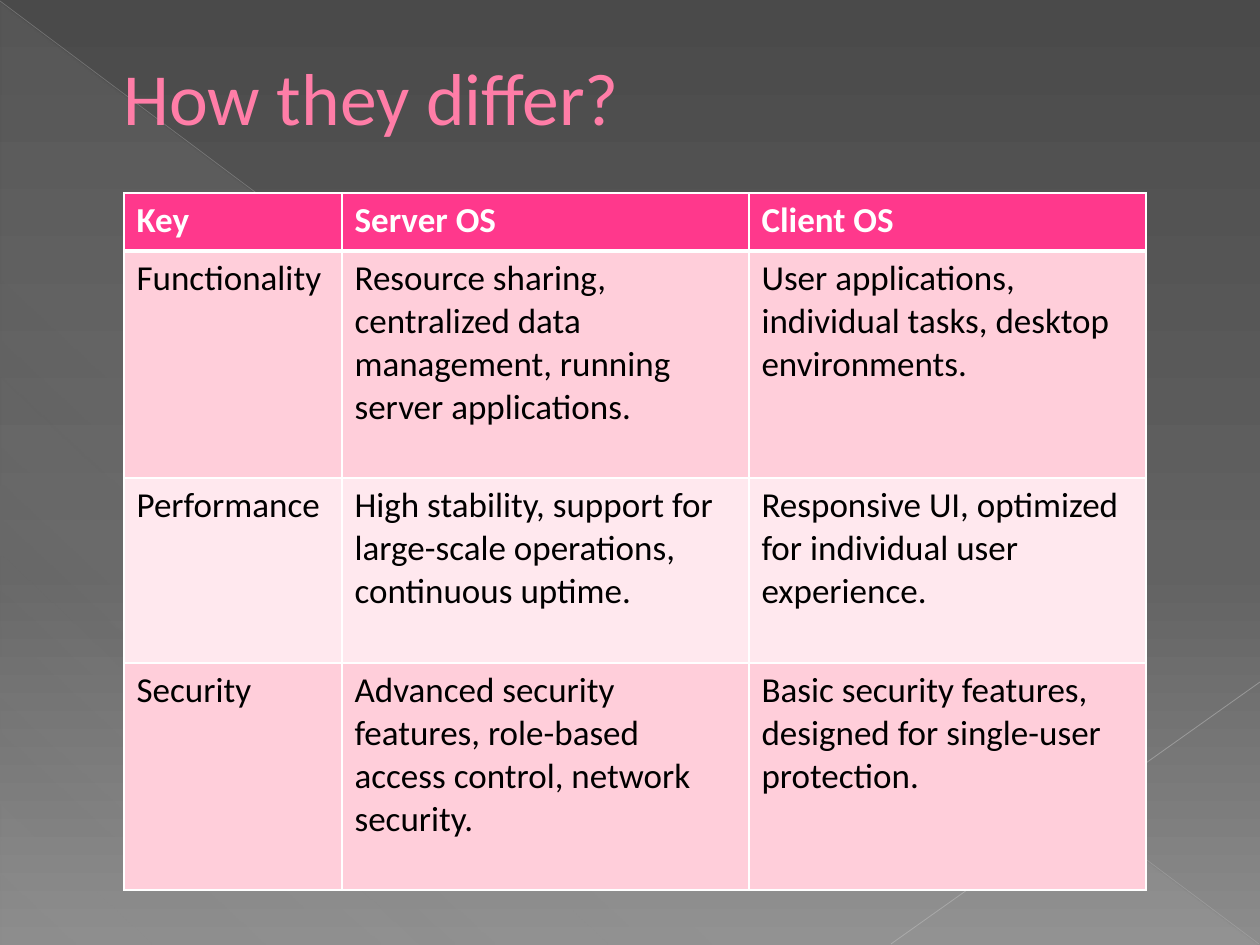
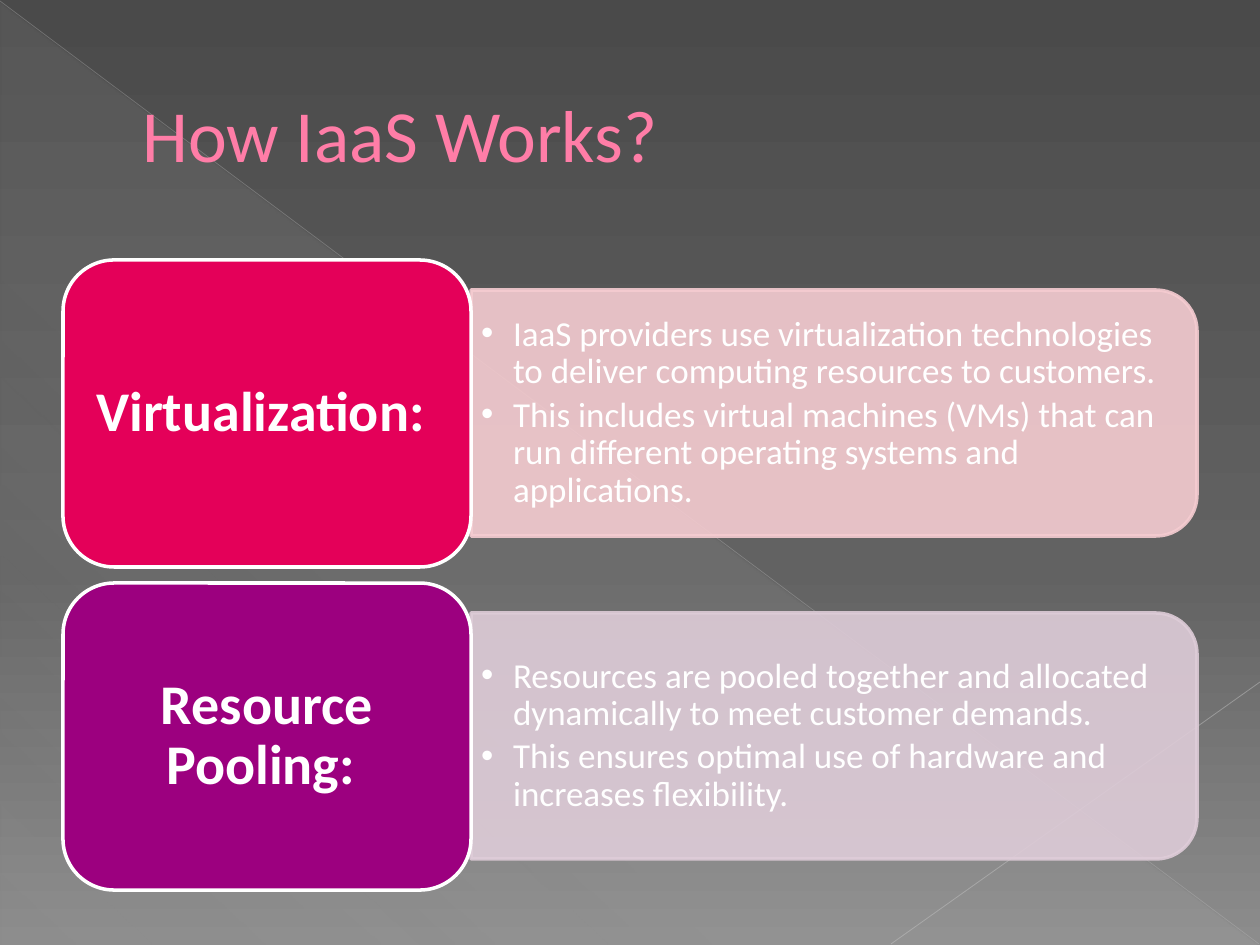
import pptx
import pptx.dml.color
import pptx.enum.shapes
import pptx.enum.text
import pptx.oxml.ns
import pptx.util
from lxml import etree

SCALE = 914400 / 126
FONT = "Calibri"
WHITE = "FFFFFF"
qn = pptx.oxml.ns.qn
MSO_SHAPE = pptx.enum.shapes.MSO_SHAPE
MIDDLE = pptx.enum.text.MSO_ANCHOR.MIDDLE
ALIGN = pptx.enum.text.PP_ALIGN


def px(*lengths):
    return [pptx.util.Emu(round(length * SCALE)) for length in lengths]


def add_run(paragraph, text, size, color, bold=False):
    run = paragraph.add_run()
    run.text = text
    run.font.name = FONT
    run.font.size = pptx.util.Pt(size)
    run.font.bold = bold
    run.font.color.rgb = rgb(color)
    return run


rgb = pptx.dml.color.RGBColor.from_string
presentation = pptx.Presentation()
presentation.slide_width, presentation.slide_height = px(1260, 945)
master = presentation.slide_master
title_only = presentation.slide_layouts[5]

# Slides and their titles
slides = []
for title_text, left, top in [("How they differ?", 44, 0), ("How IaaS Works?", 63, 37)]:
    slide = presentation.slides.add_slide(title_only)
    title = slide.shapes.title
    title.left, title.top, title.width, title.height = px(left, top, 1134, 193)
    title.text_frame.vertical_anchor = MIDDLE
    paragraph = title.text_frame.paragraphs[0]
    paragraph.alignment = ALIGN.LEFT
    paragraph._p.get_or_add_pPr().set("marL", str(px(67)[0]))
    run = add_run(paragraph, title_text, 42, "FF7DA7")
    outline = etree.Element(qn("a:ln"), w=str(pptx.util.Pt(0.5)))
    outline_fill = etree.SubElement(outline, qn("a:solidFill"))
    etree.SubElement(outline_fill, qn("a:srgbClr"), val="B12761")
    run._r.get_or_add_rPr().insert(0, outline)
    slides.append(slide)
difference_slide, iaas_slide = slides

# Shared backdrop: gradient, pale triangle and two thin lines on the master
master.background.fill.gradient()
triangle = difference_slide.shapes.add_shape(MSO_SHAPE.RIGHT_TRIANGLE, *px(1, 3, 1257, 942))
triangle.shadow.inherit = False
triangle.line.fill.background()
triangle.fill.gradient()
for element, angle, stops in [
    (master.element, 90, [(0, "4A4A4A", 100), (60, "626262", 100), (100, "8C8C8C", 100)]),
    (triangle.element, 133, [(0, "D2D2D2", 10), (70, "D2D2D2", 8), (100, "D2D2D2", 1)]),
]:
    stop_list = element.find(".//" + qn("a:gsLst"))
    for old_stop in list(stop_list):
        stop_list.remove(old_stop)
    for position, color, opacity in stops:
        stop = etree.SubElement(stop_list, qn("a:gs"), pos=str(position * 1000))
        stop_color = etree.SubElement(stop, qn("a:srgbClr"), val=color)
        if opacity < 100:
            etree.SubElement(stop_color, qn("a:alpha"), val=str(opacity * 1000))
    element.find(".//" + qn("a:lin")).set("ang", str(angle * 60000))

backdrop = [triangle]
for ends, color, width, opacity in [
    ((0, 1, 1259, 944), "BFBFBF", 0.39, 35),
    ((1260, 682, 891, 944), "C6C6C6", 0.47, 45),
]:
    line = difference_slide.shapes.add_connector(
        pptx.enum.shapes.MSO_CONNECTOR.STRAIGHT, *px(*ends))
    line.line.color.rgb = rgb(color)
    line.line.width = pptx.util.Pt(width)
    line_color = line.element.find(".//" + qn("a:srgbClr"))
    etree.SubElement(line_color, qn("a:alpha"), val=str(opacity * 1000))
    etree.SubElement(line.element.spPr, qn("a:effectLst"))
    backdrop.append(line)

for index, shape in enumerate(backdrop):
    shape.element.find(".//" + qn("p:cNvPr")).set("id", str(20 + index))
    master.shapes.element.insert(2 + index, shape.element)

# Comparison table
rows = [
    ["Key", "Server OS", "Client OS"],
    ["Functionality",
     "Resource sharing, centralized data management, running server applications.",
     "User applications, individual tasks, desktop environments."],
    ["Performance",
     "High stability, support for large-scale operations, continuous uptime.",
     "Responsive UI, optimized for individual user experience."],
    ["Security",
     "Advanced security features, role-based access control, network security.",
     "Basic security features, designed for single-user protection."],
]
row_fills = ["FF388C", "FFCEDA", "FFE8EE", "FFCEDA"]
table = difference_slide.shapes.add_table(4, 3, *px(124, 193, 1022, 697)).table
for column, width in zip(table.columns, px(218, 407, 397)):
    column.width = width
for row, height in zip(table.rows, px(58, 227, 185, 227)):
    row.height = height
for row_index, texts in enumerate(rows):
    is_header = row_index == 0
    for column_index, text in enumerate(texts):
        cell = table.cell(row_index, column_index)
        cell.fill.solid()
        cell.fill.fore_color.rgb = rgb(row_fills[row_index])
        add_run(cell.text_frame.paragraphs[0], text, 20,
                WHITE if is_header else "000000", is_header)
        border_widths = {"L": 1, "R": 1, "T": 3 if row_index == 1 else 1,
                         "B": 3 if is_header else 1}
        for order, (side, width) in enumerate(border_widths.items()):
            border = etree.Element(qn("a:ln" + side), w=str(pptx.util.Pt(width)))
            border_fill = etree.SubElement(border, qn("a:solidFill"))
            etree.SubElement(border_fill, qn("a:srgbClr"), val=WHITE)
            cell._tc.get_or_add_tcPr().insert(order, border)

# IaaS cards: a panel with bullets, and a label tile to its left
cards = [
    ("Virtualization: ", "E40059", "F5CCD1", [
        "IaaS providers use virtualization technologies to deliver computing resources to customers.",
        "This includes virtual machines (VMs) that can run different operating systems and applications."]),
    ("Resource Pooling: ", "9C007F", "DECCD8", [
        "Resources are pooled together and allocated dynamically to meet customer demands.",
        "This ensures optimal use of hardware and increases flexibility."]),
]
for index, (label, tile_color, panel_color, bullets) in enumerate(cards):
    top = 260 + index * 323
    panel = iaas_slide.shapes.add_shape(
        MSO_SHAPE.ROUND_2_SAME_RECTANGLE, *px(711, top - 210, 246, 726))
    panel.rotation = 90
    bullet_box = iaas_slide.shapes.add_textbox(*px(471, top + 42, 713, 222))
    tile = iaas_slide.shapes.add_shape(MSO_SHAPE.ROUNDED_RECTANGLE, *px(63, top, 408, 307))

    for shape, fill, line in [(panel, panel_color, panel_color), (tile, tile_color, WHITE)]:
        shape.shadow.inherit = False
        shape.fill.solid()
        shape.fill.fore_color.rgb = rgb(fill)
        shape.line.color.rgb = rgb(line)
        shape.line.width = pptx.util.Pt(2)
    for panel_paint in panel.element.iter(qn("a:srgbClr")):
        etree.SubElement(panel_paint, qn("a:alpha"), val="90000")

    for shape, side, edge in [(bullet_box, 10, 5), (tile, 16, 9)]:
        frame = shape.text_frame
        frame.word_wrap = True
        frame.vertical_anchor = MIDDLE
        frame.margin_left, frame.margin_right = px(side, side)
        frame.margin_top, frame.margin_bottom = px(edge, edge)

    paragraph = tile.text_frame.paragraphs[0]
    paragraph.alignment = ALIGN.CENTER
    paragraph.line_spacing = 0.9
    add_run(paragraph, label, 32, WHITE, True)

    frame = bullet_box.text_frame
    for bullet_index, text in enumerate(bullets):
        paragraph = frame.add_paragraph() if bullet_index else frame.paragraphs[0]
        paragraph.level = 1
        paragraph.alignment = ALIGN.LEFT
        paragraph.line_spacing = 0.9
        paragraph.space_after = pptx.util.Pt(3)
        properties = paragraph._p.get_or_add_pPr()
        indent = px(32)[0]
        properties.set("marL", str(indent))
        properties.set("indent", str(-indent))
        etree.SubElement(properties, qn("a:buFont"), typeface="Arial")
        etree.SubElement(properties, qn("a:buChar"), char="•")
        add_run(paragraph, text, 20, WHITE)

presentation.save("out.pptx")
